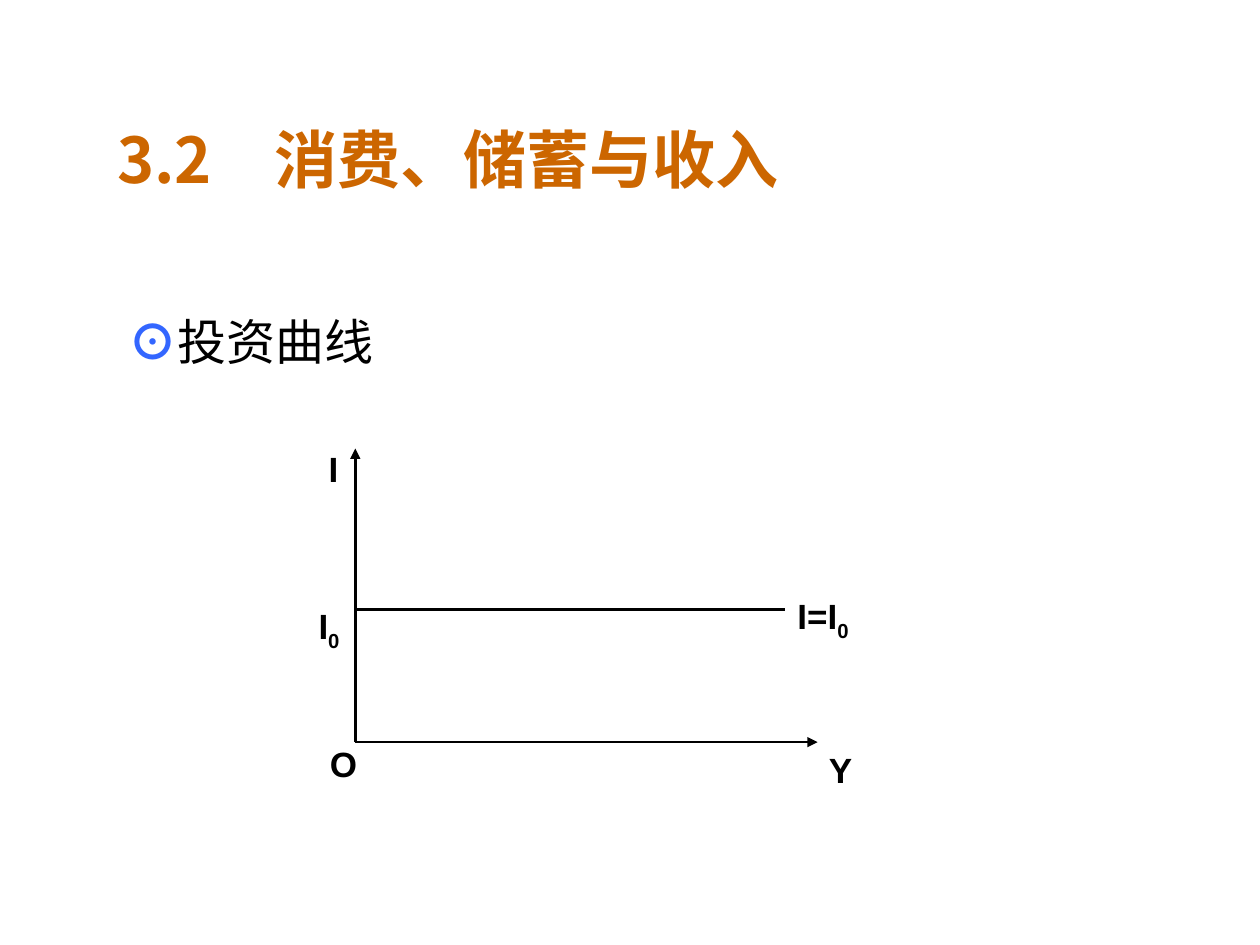
import pptx
import pptx.util
import pptx.dml.color
import pptx.enum.shapes
import pptx.enum.text
import pptx.oxml
import pptx.oxml.ns
from pptx.util import Inches

COLORS = {"title": "CC6600", "marker": "3366FF", "ink": "000000"}
LATIN_FONT = "Arial"
CHINESE_FONT = "Noto Sans CJK SC"
ORIGIN_X, ORIGIN_Y = 2.82, 5.89
INVESTMENT_Y = 4.84


def add_run(paragraph, text, size, color="ink", bold=True, font=LATIN_FONT, subscript=False):
    """Append one formatted run to a paragraph."""
    run = paragraph.add_run()
    run.text = text
    run.font.size = pptx.util.Pt(size)
    run.font.bold = bold
    run.font.name = font
    run.font.color.rgb = pptx.dml.color.RGBColor.from_string(COLORS[color])
    properties = run.font._element
    east_asian = pptx.oxml.parse_xml(
        f'<a:ea {pptx.oxml.ns.nsdecls("a")} typeface="{CHINESE_FONT}"/>')
    properties.find(pptx.oxml.ns.qn("a:latin")).addnext(east_asian)
    if subscript:
        properties.set("baseline", "-25000")


def place(shape, left, top, width, height):
    """Position and size a shape in inches."""
    shape.left, shape.top = Inches(left), Inches(top)
    shape.width, shape.height = Inches(width), Inches(height)


def add_title(slide, text):
    """Fill and format the title placeholder."""
    title = slide.shapes.title
    place(title, 0.83, 0.92, 7.31, 0.67)
    frame = title.text_frame
    frame.vertical_anchor = pptx.enum.text.MSO_ANCHOR.MIDDLE
    frame.auto_size = pptx.enum.text.MSO_AUTO_SIZE.NONE
    paragraph = frame.paragraphs[0]
    paragraph.alignment = pptx.enum.text.PP_ALIGN.LEFT
    add_run(paragraph, text, 36, "title", font=CHINESE_FONT)


def add_text_box(slide, left, top, width, height, wrap=False):
    """Add a text box that fits its text and return its first paragraph."""
    box = slide.shapes.add_textbox(Inches(left), Inches(top), Inches(width), Inches(height))
    box.text_frame.word_wrap = wrap
    box.text_frame.auto_size = pptx.enum.text.MSO_AUTO_SIZE.SHAPE_TO_FIT_TEXT
    return box.text_frame.paragraphs[0]


def add_label(slide, text, left, top, width, height=0.44, subscript=""):
    """Add a bold diagram label with an optional subscript."""
    paragraph = add_text_box(slide, left, top, width, height)
    add_run(paragraph, text, 20)
    if subscript:
        add_run(paragraph, subscript, 20, subscript=True)


def add_line(slide, end_x, end_y, start_y=ORIGIN_Y, arrow=False):
    """Draw a line from the vertical axis, with an optional arrowhead."""
    line = slide.shapes.add_connector(
        pptx.enum.shapes.MSO_CONNECTOR.STRAIGHT,
        Inches(ORIGIN_X), Inches(start_y), Inches(end_x), Inches(end_y))
    line.line.width = pptx.util.Pt(1.5)
    line.line.color.rgb = pptx.dml.color.RGBColor.from_string(COLORS["ink"])
    namespace = pptx.oxml.ns.nsdecls("a")
    if arrow:
        line.line._get_or_add_ln().append(
            pptx.oxml.parse_xml(f'<a:tailEnd {namespace} type="triangle"/>'))
    line._element.spPr.append(pptx.oxml.parse_xml(f"<a:effectLst {namespace}/>"))


def add_heading(slide):
    """Add the marked heading above the diagram."""
    paragraph = add_text_box(slide, 0.92, 2.42, 6.58, 0.57, wrap=True)
    add_run(paragraph, "⊙", 28, "marker", font=CHINESE_FONT)
    add_run(paragraph, "投资曲线", 28, bold=False)


def add_diagram(slide):
    """Draw the axes, the investment line and their labels."""
    add_line(slide, ORIGIN_X, 3.56, arrow=True)
    add_line(slide, 6.49, ORIGIN_Y, arrow=True)
    add_line(slide, 6.23, INVESTMENT_Y, start_y=INVESTMENT_Y)
    add_label(slide, "I", 2.51, 3.5, 0.31)
    add_label(slide, "O", 2.52, 5.84, 0.42)
    add_label(slide, "Y", 6.48, 5.89, 0.37)
    add_label(slide, "I", 2.43, 4.75, 0.4, 0.48, subscript="0")
    add_label(slide, "I=I", 6.23, 4.67, 0.65, 0.48, subscript="0")


def main():
    """Build and save the slide."""
    presentation = pptx.Presentation()
    presentation.slide_width, presentation.slide_height = Inches(10), Inches(7.5)
    slide = presentation.slides.add_slide(presentation.slide_layouts[5])
    add_title(slide, "3.2　消费、储蓄与收入")
    add_heading(slide)
    add_diagram(slide)
    presentation.save("out.pptx")


if __name__ == "__main__":
    main()
